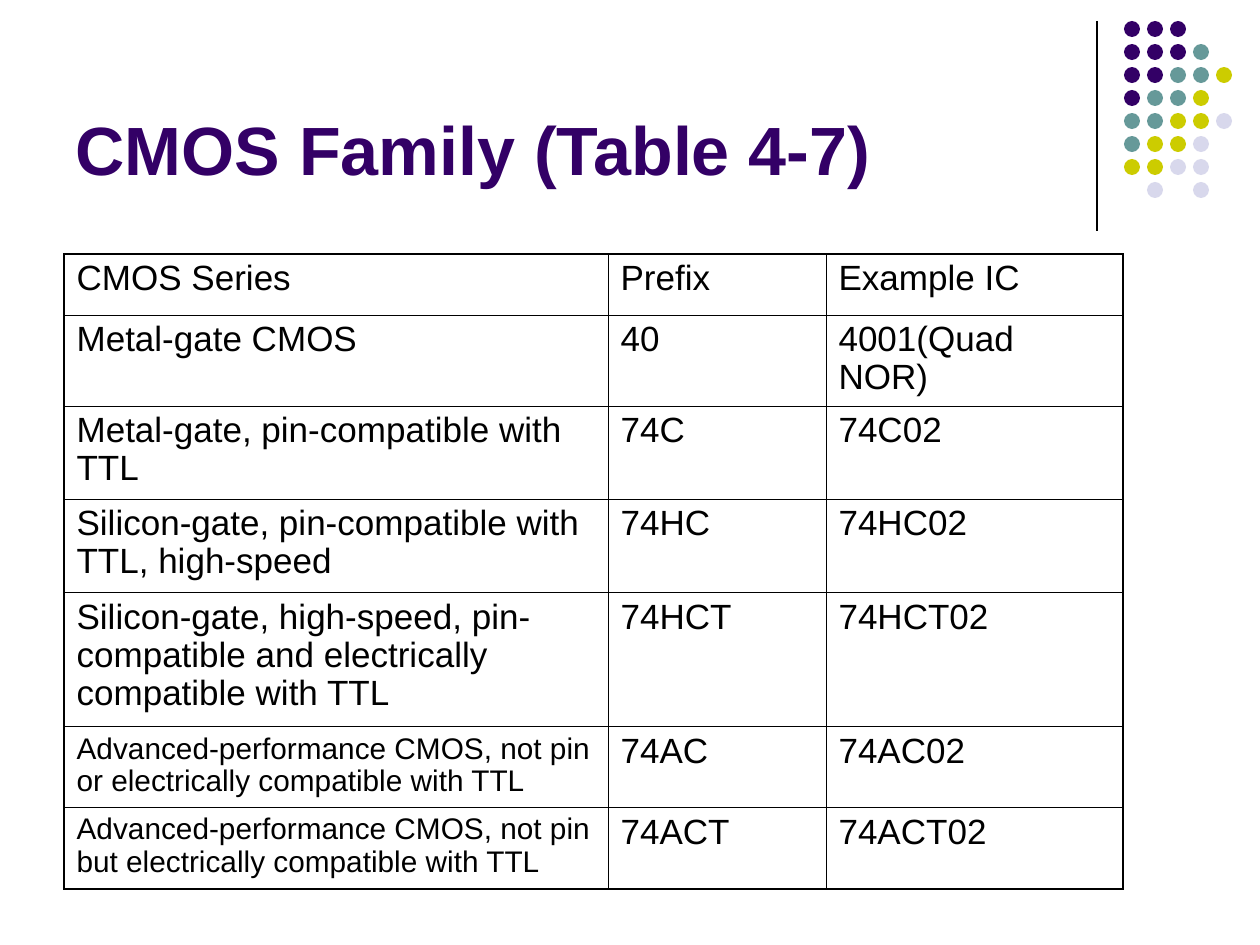
from lxml.etree import SubElement
from pptx import Presentation
from pptx.dml.color import RGBColor
from pptx.enum.shapes import MSO_CONNECTOR, MSO_SHAPE
from pptx.enum.text import MSO_ANCHOR, MSO_AUTO_SIZE, PP_ALIGN
from pptx.oxml.ns import qn
from pptx.util import Emu, Pt

PX_PER_INCH = 126
PURPLE, TEAL, OLIVE, LAVENDER, BLACK = "330066", "669999", "CCCC00", "D8D8EC", "000000"
DOT_COLORS = {"P": PURPLE, "T": TEAL, "O": OLIVE, "L": LAVENDER}
DOT_ROWS = ["PPP", "PPPT", "PPTTO", "PTTO", "TTOOL", "TOOL", "OOLL", " L L"]
DOT_SIZE, DOT_PITCH = 16, 23

CMOS_FAMILY = [
    ("CMOS Series", "Prefix", "Example IC"),
    ("Metal-gate CMOS", "40", "4001(Quad NOR)"),
    ("Metal-gate, pin-compatible with TTL", "74C", "74C02"),
    ("Silicon-gate, pin-compatible with TTL, high-speed", "74HC", "74HC02"),
    ("Silicon-gate, high-speed, pin-compatible and electrically compatible with TTL",
     "74HCT", "74HCT02"),
    ("Advanced-performance CMOS, not pin or electrically compatible with TTL",
     "74AC", "74AC02"),
    ("Advanced-performance CMOS, not pin but electrically compatible with TTL",
     "74ACT", "74ACT02"),
]
COLUMN_WIDTHS = [544, 218, 297]
ROW_HEIGHTS = [61, 91, 93, 94, 134, 81, 81]
OUTER_BORDER, INNER_BORDER = 1.08, 0.45


def px(length):
    return Emu(round(length * 914400 / PX_PER_INCH))


def color(hex_code):
    return RGBColor.from_string(hex_code)


def write_text(frame, text, size=20, fill=BLACK, bold=False, spacing=None):
    frame.text = text
    paragraph = frame.paragraphs[0]
    paragraph.alignment = PP_ALIGN.LEFT
    paragraph.line_spacing = spacing
    font = paragraph.runs[0].font
    font.name = "Arial"
    font.size = Pt(size)
    font.bold = bold
    font.color.rgb = color(fill)


def add_title(slide, text):
    title = slide.shapes.title
    title.left, title.top, title.width, title.height = map(px, (63, 16, 1040, 179))
    frame = title.text_frame
    frame.word_wrap = True
    frame.auto_size = MSO_AUTO_SIZE.NONE
    frame.vertical_anchor = MSO_ANCHOR.BOTTOM
    write_text(frame, text, size=39, fill=PURPLE, bold=True)


def add_divider(slide, x, top, bottom):
    divider = slide.shapes.add_connector(
        MSO_CONNECTOR.STRAIGHT, px(x), px(top), px(x), px(bottom))
    divider.line.color.rgb = color(BLACK)
    divider.line.width = Pt(0.75)
    SubElement(divider.line._get_or_add_ln().getparent(), qn("a:effectLst"))


def add_dot_grid(slide, left, top):
    grid = slide.shapes.add_group_shape()
    for row, codes in enumerate(DOT_ROWS):
        for column, code in enumerate(codes):
            if code == " ":
                continue
            dot = grid.shapes.add_shape(
                MSO_SHAPE.OVAL, px(left + column * DOT_PITCH), px(top + row * DOT_PITCH),
                px(DOT_SIZE), px(DOT_SIZE))
            dot.shadow.inherit = False
            dot.fill.solid()
            dot.fill.fore_color.rgb = color(DOT_COLORS[code])
            dot.line.fill.background()


def set_border(cell, side, width):
    border = SubElement(cell._tc.get_or_add_tcPr(), qn(f"a:ln{side}"), w=str(Pt(width)))
    fill = SubElement(border, qn("a:solidFill"))
    SubElement(fill, qn("a:srgbClr"), val=BLACK)


def add_family_table(slide, left, top):
    row_count, column_count = len(ROW_HEIGHTS), len(COLUMN_WIDTHS)
    table = slide.shapes.add_table(
        row_count, column_count, px(left), px(top),
        px(sum(COLUMN_WIDTHS)), px(sum(ROW_HEIGHTS))).table
    table.first_row = table.horz_banding = False
    for column, width in zip(table.columns, COLUMN_WIDTHS):
        column.width = px(width)
    for r, (row, height) in enumerate(zip(table.rows, ROW_HEIGHTS)):
        row.height = px(height)
        for c, cell in enumerate(row.cells):
            text = CMOS_FAMILY[r][c]
            size = 17 if text.startswith("Advanced") else 20
            write_text(cell.text_frame, text, size=size, spacing=0.97)
            edges = {"L": c == 0, "R": c == column_count - 1,
                     "T": r == 0, "B": r == row_count - 1}
            for side, is_outer in edges.items():
                set_border(cell, side, OUTER_BORDER if is_outer else INNER_BORDER)
            cell.fill.background()


def main():
    presentation = Presentation()
    presentation.slide_width, presentation.slide_height = px(1260), px(945)
    slide = presentation.slides.add_slide(presentation.slide_layouts[5])
    add_divider(slide, 1097, 21, 231)
    add_dot_grid(slide, 1124, 21)
    add_title(slide, "CMOS Family (Table 4-7)")
    add_family_table(slide, 64, 254)
    presentation.save("out.pptx")


if __name__ == "__main__":
    main()
